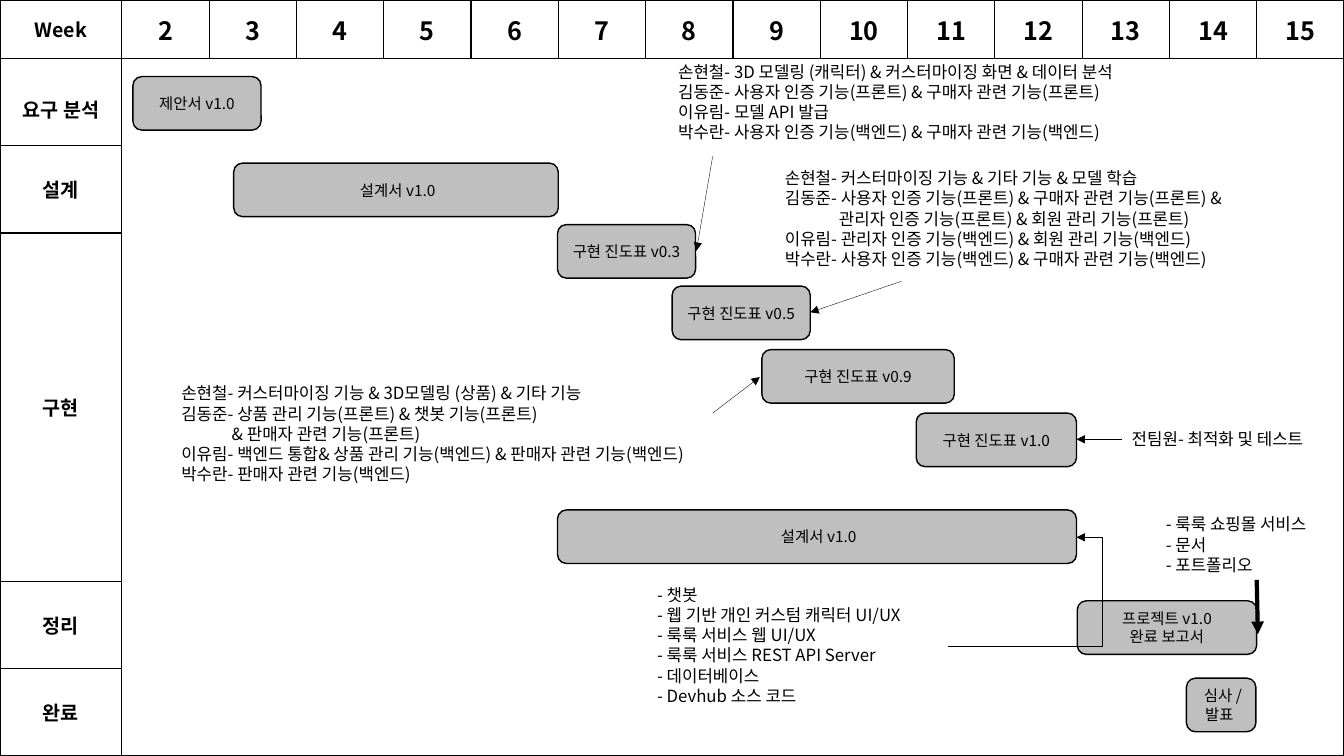
import pptx
import pptx.dml.color
import pptx.enum.shapes
import pptx.enum.text
import pptx.oxml
import pptx.oxml.ns
import pptx.util
from lxml import etree
from pptx.util import Cm

BLACK, GREY = "000000", "BFBFBF"
LABEL_WIDTH, WEEK_WIDTH = 3.07, 2.2
ROW_HEIGHTS = [1.47, 2.2, 2.2, 8.78, 2.2, 2.2]
PHASES = ["요구 분석", "설계", "구현", "정리", "완료"]
WEEKS = range(2, 16)
BAR_HEIGHT = 1.35

# Bars: left, top, width, lines
BARS = [
    (3.35, 1.93, 3.23, ["제안서 v1.0"]),
    (5.89, 4.11, 8.18, [" 설계서 v1.0"]),
    (14.05, 5.66, 3.48, ["구현 진도표 v0.3"]),
    (27.15, 15.14, 4.52, ["프로젝트 v1.0", " 완료 보고서 "]),
    (29.9, 17.09, 1.75, [" 심사 / 발표 "]),
    (16.94, 7.21, 3.48, ["구현 진도표 v0.5"]),
    (19.2, 8.81, 4.85, ["구현 진도표 v0.9"]),
    (23.09, 10.41, 4.04, ["구현 진도표 v1.0"]),
    (14.05, 12.85, 13.08, [" 설계서 v1.0"]),
]

# Notes: left, top, width, height, wrap, lines
NOTES = [
    (16.84, 1.42, 13.08, 2.31, False, [
        "손현철- 3D 모델링 (캐릭터) & 커스터마이징 화면 & 데이터 분석",
        "김동준- 사용자 인증 기능(프론트) & 구매자 관련 기능(프론트)",
        "이유림- 모델 API 발급",
        "박수란- 사용자 인증 기능(백엔드) & 구매자 관련 기능(백엔드)"]),
    (28.27, 10.69, 5.49, 0.77, False, ["전팀원- 최적화 및 테스트"]),
    (19.53, 4.11, 14.35, 2.82, True, [
        "손현철- 커스터마이징 기능 & 기타 기능 & 모델 학습",
        "김동준- 사용자 인증 기능(프론트) & 구매자 관련 기능(프론트) &",
        "\t 관리자 인증 기능(프론트) & 회원 관리 기능(프론트)",
        "이유림- 관리자 인증 기능(백엔드) & 회원 관리 기능(백엔드)",
        "박수란- 사용자 인증 기능(백엔드) & 구매자 관련 기능(백엔드)"]),
    (4.32, 9.53, 14.96, 2.82, False, [
        "손현철- 커스터마이징 기능 & 3D모델링 (상품) & 기타 기능",
        "김동준- 상품 관리 기능(프론트) & 챗봇 기능(프론트)",
        "\t& 판매자 관련 기능(프론트)",
        "이유림- 백엔드 통합& 상품 관리 기능(백엔드) & 판매자 관련 기능(백엔드)",
        "박수란- 판매자 관련 기능(백엔드)"]),
    (16.31, 14.61, 7.59, 3.33, False, [
        "- 챗봇",
        "- 웹 기반 개인 커스텀 캐릭터 UI/UX",
        "- 룩룩 서비스 웹 UI/UX",
        "- 룩룩 서비스 REST API Server",
        "- 데이터베이스",
        "- Devhub 소스 코드"]),
    (29.13, 12.83, 4.62, 1.8, False, [
        "- 룩룩 쇼핑몰 서비스", "- 문서", "- 포트폴리오"]),
]

# Arrows: start, end, line width in points
ARROWS = [
    ((17.96, 3.94), (17.55, 6.32), 0.25),
    ((22.71, 7.09), (20.42, 7.87), 0.25),
    ((17.96, 10.41), (19.15, 9.5), 0.25),
    ((28.27, 11.07), (27.13, 11.07), 0.25),
    ((31.67, 14.61), (31.7, 15.98), 3),
]


def colour(value):
    return pptx.dml.color.RGBColor.from_string(value)


def child(parent, tag, **attributes):
    return etree.SubElement(parent, pptx.oxml.ns.qn(tag), attributes)


class Chart:
    """Style of the schedule and the page it is drawn on."""
    font = "Noto Sans CJK KR"
    centre = pptx.enum.text.PP_ALIGN.CENTER
    middle = pptx.enum.text.MSO_ANCHOR.MIDDLE

    def __init__(self, page):
        self.page = page

    def add_lines(self, frame, lines, size, bold=False, align=None):
        for number, line in enumerate(lines):
            para = frame.add_paragraph() if number else frame.paragraphs[0]
            para.alignment = align
            span = para.add_run()
            span.text = line
            span.font.size = pptx.util.Pt(size)
            span.font.bold = bold
            span.font.color.rgb = colour(BLACK)
            span.font.name = self.font
            child(span.font._element, "a:ea", typeface=self.font)

    def grid(self):
        width = LABEL_WIDTH + WEEK_WIDTH * len(WEEKS)
        frame = self.page.shapes.add_table(
            len(ROW_HEIGHTS), len(WEEKS) + 1, 0, 0, Cm(width), Cm(sum(ROW_HEIGHTS)))
        table = frame.table
        table.first_row = table.horz_banding = False
        for row, height in zip(table.rows, ROW_HEIGHTS):
            row.height = Cm(height)
        for number, column in enumerate(table.columns):
            column.width = Cm(WEEK_WIDTH if number else LABEL_WIDTH)
        for cell in table.iter_cells():
            self.border(cell)
            cell.fill.background()
            cell.vertical_anchor = self.middle
        for number, label in enumerate(["Week"] + PHASES):
            self.add_lines(table.cell(number, 0).text_frame, [label], 14, True, self.centre)
        table.cell(1, 0).text_frame.paragraphs[0].line_spacing = 1.5
        for number, week in enumerate(WEEKS, 1):
            self.add_lines(table.cell(0, number).text_frame, [str(week)], 18, True, self.centre)
        table.cell(1, 1).merge(table.cell(len(PHASES), len(WEEKS)))

    def border(self, cell):
        properties = cell._tc.get_or_add_tcPr()
        for side in ("a:lnL", "a:lnR", "a:lnT", "a:lnB"):
            line = child(properties, side, w=str(int(pptx.util.Pt(1))))
            child(child(line, "a:solidFill"), "a:srgbClr", val=BLACK)

    def bar(self, left, top, width, lines):
        box = self.page.shapes.add_shape(
            pptx.enum.shapes.MSO_SHAPE.ROUNDED_RECTANGLE,
            Cm(left), Cm(top), Cm(width), Cm(BAR_HEIGHT))
        box.shadow.inherit = False
        box.fill.solid()
        box.fill.fore_color.rgb = colour(GREY)
        box.line.color.rgb = colour(BLACK)
        box.line.width = pptx.util.Pt(1)
        box.text_frame.word_wrap = True
        box.text_frame.vertical_anchor = self.middle
        self.add_lines(box.text_frame, lines, 11, align=self.centre)

    def note(self, left, top, width, height, wrap, lines):
        box = self.page.shapes.add_textbox(Cm(left), Cm(top), Cm(width), Cm(height))
        box.text_frame.word_wrap = wrap
        box.text_frame.auto_size = pptx.enum.text.MSO_AUTO_SIZE.SHAPE_TO_FIT_TEXT
        self.add_lines(box.text_frame, lines, 12)

    def arrow(self, start, end, weight, bend=None):
        kinds = pptx.enum.shapes.MSO_CONNECTOR
        line = self.page.shapes.add_connector(
            kinds.ELBOW if bend else kinds.STRAIGHT, *map(Cm, start + end))
        line.line.color.rgb = colour(BLACK)
        line.line.width = pptx.util.Pt(weight)
        child(line.get_or_add_ln(), "a:tailEnd", type="triangle")
        properties = line._element.spPr
        child(properties, "a:effectLst")
        if bend:
            guides = properties.find(pptx.oxml.ns.qn("a:prstGeom")).get_or_add_avLst()
            child(guides, "a:gd", name="adj1", fmla=f"val {round(bend * 100000)}")


def main():
    deck = pptx.Presentation()
    deck.slide_width, deck.slide_height = Cm(33.87), Cm(19.05)
    chart = Chart(deck.slides.add_slide(deck.slide_layouts[6]))

    # Week grid
    chart.grid()

    # Deliverables and who does what
    for bar in BARS:
        chart.bar(*bar)
    for note in NOTES:
        chart.note(*note)

    # Links from notes to deliverables
    for arrow in ARROWS:
        chart.arrow(*arrow)
    chart.arrow((23.9, 16.28), (27.13, 13.54), 0.5, bend=1.2)

    deck.save("out.pptx")


if __name__ == "__main__":
    main()
